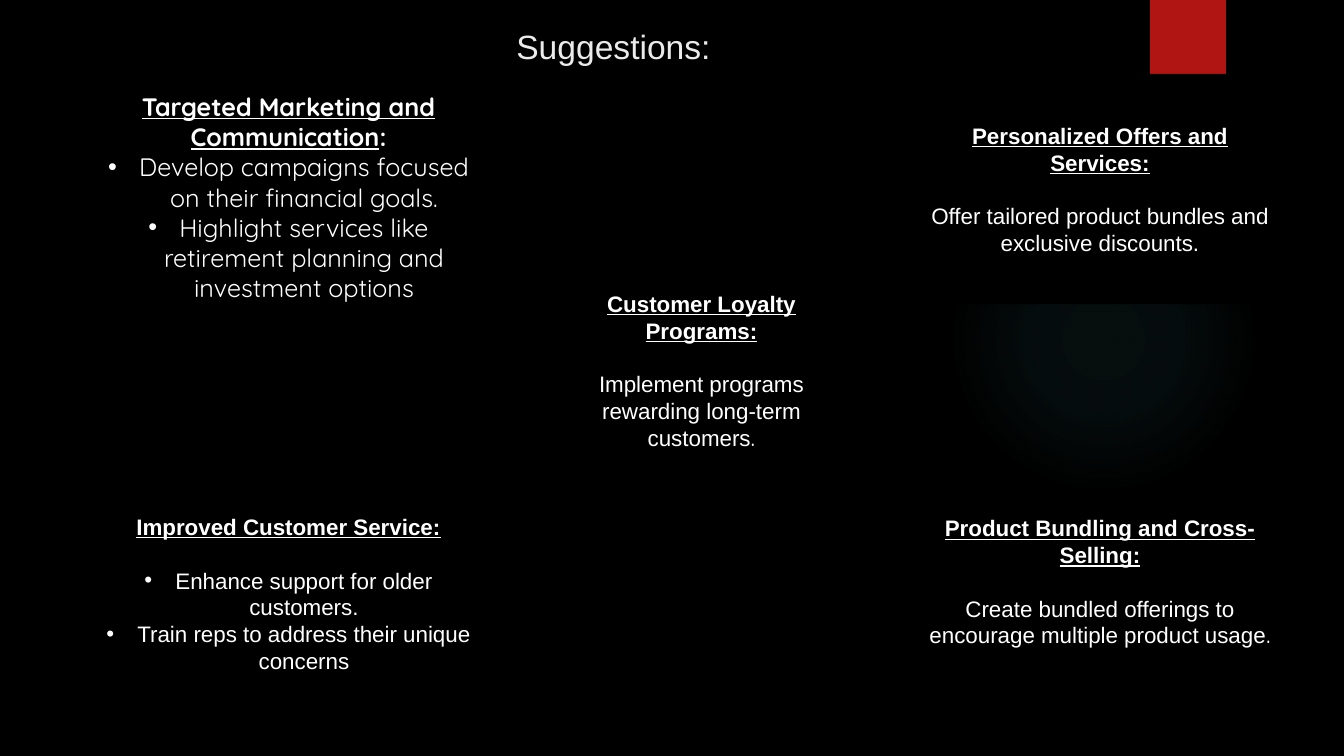
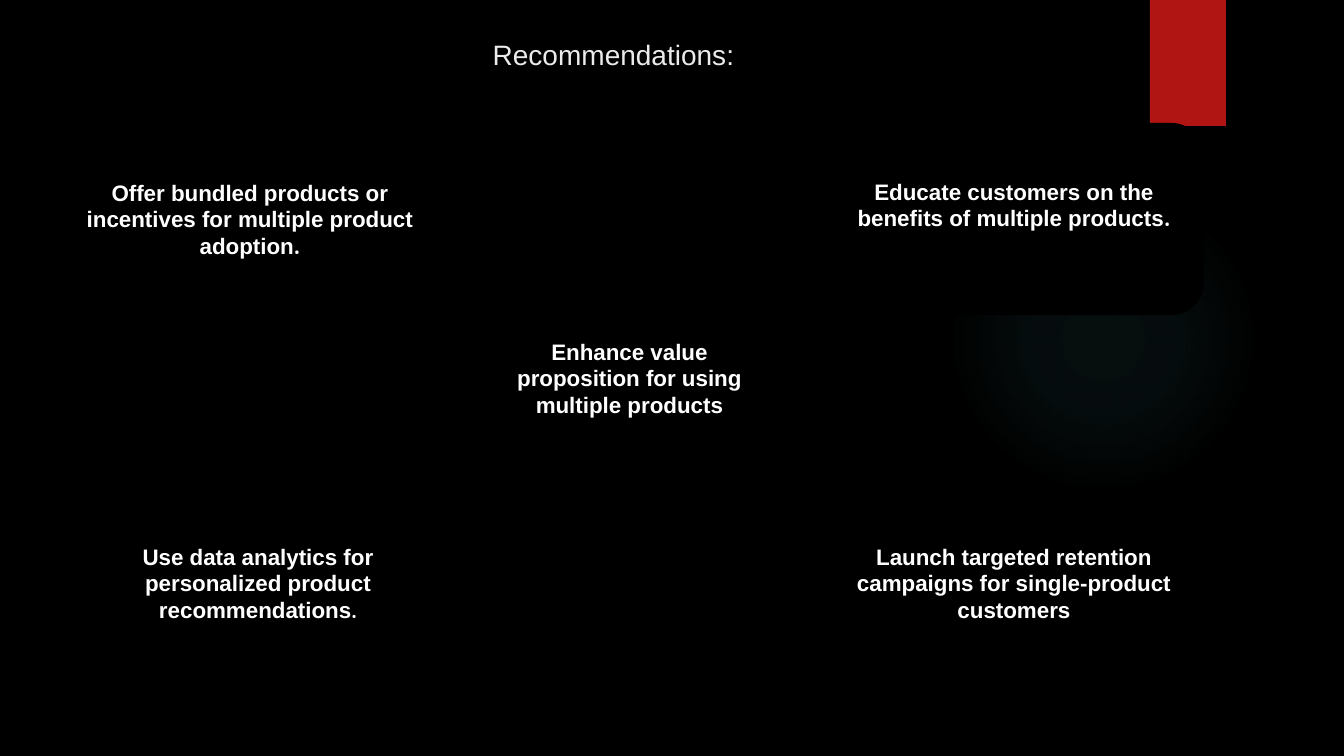
from dataclasses import dataclass

from lxml import etree
from pptx import Presentation
from pptx.dml.color import RGBColor
from pptx.enum.shapes import MSO_SHAPE
from pptx.enum.text import MSO_ANCHOR, MSO_AUTO_SIZE, PP_ALIGN
from pptx.oxml import parse_xml
from pptx.oxml.ns import nsdecls, qn
from pptx.util import Emu, Pt

RECTANGLE = MSO_SHAPE.RECTANGLE
ROUNDED = MSO_SHAPE.ROUNDED_RECTANGLE
OVAL = MSO_SHAPE.OVAL
CENTER = PP_ALIGN.CENTER
TOP = MSO_ANCHOR.TOP
MIDDLE = MSO_ANCHOR.MIDDLE
NO_AUTOFIT = MSO_AUTO_SIZE.NONE

EMU_PER_PX = 914400 / 100.8
TITLE_ONLY = 5
COLORS = {
    "black": "000000",
    "white": "FFFFFF",
    "title": "EBEBEB",
    "red": "B01513",
    "glow": "50B9C1",
}
BODY_FONT = "Arial"
ACCENT_FONT = "Quicksand"
LINE_HEIGHT = 1.2
BULLET_INDENT = 31
TEXT_MARGIN = 5
LOWER_SPACE = 28


@dataclass
class Run:
    text: str
    size: int = 16
    font: str = BODY_FONT
    bold: bool = False
    underline: bool = False


@dataclass
class Line:
    runs: list
    bullet: bool = False
    gap: bool = False


def px(length):
    return Emu(round(length * EMU_PER_PX))


def color(name):
    return RGBColor.from_string(COLORS[name])


def heading(text, **style):
    return Line([Run(text, bold=True, underline=True, **style)])


def full_stop(size=18, bold=False):
    return Run(".", size, ACCENT_FONT, bold)


class Deck:
    """Holds the shared style and the slide being filled."""

    def __init__(self, width, height):
        self.presentation = Presentation()
        self.presentation.slide_width = px(width)
        self.presentation.slide_height = px(height)
        background = self.presentation.slide_master.background.fill
        background.solid()
        background.fore_color.rgb = color("black")
        self.layout = self.presentation.slide_layouts[TITLE_ONLY]
        self.slide = None

    def add_slide(self, title, box, size):
        first = self.slide is None
        self.slide = self.presentation.slides.add_slide(self.layout)
        if first:
            self.decorate_layout()
        shape = self.slide.shapes.title
        shape.left, shape.top, shape.width, shape.height = map(px, box)
        frame = shape.text_frame
        frame.text = title
        frame.auto_size = NO_AUTOFIT
        frame.vertical_anchor = TOP
        paragraph = frame.paragraphs[0]
        paragraph.alignment = CENTER
        paragraph.line_spacing = Pt(size * LINE_HEIGHT)
        font = paragraph.runs[0].font
        font.name, font.size = BODY_FONT, Pt(size)
        font.color.rgb = color("title")

    def shape(self, kind, box, fill=None):
        shape = self.slide.shapes.add_shape(kind, *map(px, box))
        if fill:
            shape.fill.solid()
            shape.fill.fore_color.rgb = color(fill)
        else:
            shape.fill.background()
        shape.line.fill.background()
        shape.shadow.inherit = False
        return shape

    def decorate_layout(self):
        """Draw the glow and the red tab, then move them to the layout."""
        glow = self.shape(OVAL, (948, 184, 310, 310))
        self.fade(glow, ((0, 7), (36, 6), (69, 0)))
        tab = self.shape(RECTANGLE, (1150, 0, 76, 126), "red")
        self.drop_shadow(tab)
        for number, shape in enumerate((glow, tab), 101):
            shape.element.nvSpPr.cNvPr.set("id", str(number))
            self.layout.shapes.element.append(shape.element)

    def fade(self, shape, stops):
        """Fill with a radial gradient of (position, opacity) percentages."""
        stop_xml = "".join(
            f'<a:gs pos="{position * 1000}"><a:srgbClr val="{COLORS["glow"]}">'
            f'<a:alpha val="{opacity * 1000}"/></a:srgbClr></a:gs>'
            for position, opacity in stops
        )
        gradient = parse_xml(
            f'<a:gradFill {nsdecls("a")}><a:gsLst>{stop_xml}</a:gsLst>'
            '<a:path path="circle"><a:fillToRect l="50000" t="50000" '
            'r="50000" b="50000"/></a:path></a:gradFill>'
        )
        properties = shape.element.spPr
        properties.replace(properties.find(qn("a:noFill")), gradient)

    def drop_shadow(self, shape):
        effects = shape.element.spPr.find(qn("a:effectLst"))
        effects.append(parse_xml(
            f'<a:outerShdw {nsdecls("a")} blurRad="{Pt(3)}" dist="{Pt(2)}" '
            f'dir="5400000"><a:srgbClr val="{COLORS["black"]}">'
            '<a:alpha val="45000"/></a:srgbClr></a:outerShdw>'
        ))

    def card(self, box, lines, raised=False):
        """Add a rounded card; raised text sits above the middle."""
        shape = self.shape(ROUNDED, box, "black")
        shape.line.color.rgb = color("black")
        shape.line.width = Pt(1.5)
        frame = shape.text_frame
        frame.word_wrap = True
        frame.vertical_anchor = MIDDLE
        frame.margin_top = px(TEXT_MARGIN)
        frame.margin_bottom = px(TEXT_MARGIN + LOWER_SPACE * raised)
        for index, line in enumerate(lines):
            paragraph = frame.add_paragraph() if index else frame.paragraphs[0]
            self.write_line(paragraph, line)

    def write_line(self, paragraph, line):
        paragraph.alignment = CENTER
        spacing = Pt(line.runs[0].size * LINE_HEIGHT)
        paragraph.line_spacing = spacing
        if line.gap:
            paragraph.space_before = spacing
        if line.bullet:
            self.add_bullet(paragraph)
        for part in line.runs:
            run = paragraph.add_run()
            run.text = part.text
            font = run.font
            font.name, font.size = part.font, Pt(part.size)
            font.bold, font.underline = part.bold, part.underline
            font.color.rgb = color("white")

    def add_bullet(self, paragraph):
        properties = paragraph._p.get_or_add_pPr()
        indent = px(BULLET_INDENT)
        properties.set("marL", str(indent))
        properties.set("indent", str(-indent))
        etree.SubElement(properties, qn("a:buFont"), typeface=BODY_FONT)
        etree.SubElement(properties, qn("a:buChar"), char="•")


def add_suggestions(deck):
    deck.add_slide("Suggestions:", (127, 21, 973, 54), 24)
    left, right = 73, 902
    left_width, right_width = 431, 396
    accent = {"size": 18, "font": ACCENT_FONT}

    marketing = heading("Targeted Marketing and Communication", **accent)
    marketing.runs.append(Run(":", bold=True, **accent))
    goals = [
        "Develop campaigns focused on their financial goals.",
        "Highlight services like retirement planning and investment options",
    ]
    deck.card((left, 75, left_width, 244),
              [marketing] + [Line([Run(goal, **accent)], bullet=True) for goal in goals])

    deck.card((right, 75, right_width, 228), [
        heading("Personalized Offers and Services:"),
        Line([Run("Offer tailored product bundles and exclusive discounts.")], gap=True),
    ])
    deck.card((530, 281, 343, 207), [
        heading("Customer Loyalty Programs:"),
        Line([Run("Implement programs rewarding long-term customers"), full_stop()],
             gap=True),
    ], raised=True)
    deck.card((left, 488, left_width, 211), [
        heading("Improved Customer Service:"),
        Line([Run("Enhance support for older customers.")], bullet=True, gap=True),
        Line([Run("Train reps to address their unique concerns")], bullet=True),
    ])
    deck.card((right, 492, right_width, 207), [
        heading("Product Bundling and Cross-Selling:"),
        Line([Run("Create bundled offerings to encourage multiple product usage"),
              full_stop()], gap=True),
    ], raised=True)


def add_recommendations(deck):
    deck.add_slide("Recommendations:", (127, 32, 973, 92), 20)
    height = 190
    upper, middle, lower = 124, 283, 488
    right, width = 825, 378
    large_stop, small_stop = full_stop(bold=True), full_stop(16, True)
    cards = [
        (54, upper, 392, "Offer bundled products or incentives for multiple product adoption",
         [large_stop], False),
        (right, upper, width, "Educate customers on the benefits of multiple products",
         [large_stop], True),
        (474, middle, 311, "Enhance value proposition for using multiple products",
         [], False),
        (69, lower, width, "Use data analytics for personalized product recommendations",
         [small_stop], False),
        (right, lower, width, "Launch targeted retention campaigns for single-product customers",
         [], False),
    ]
    for left, top, card_width, text, ending, raised in cards:
        deck.card((left, top, card_width, height),
                  [Line([Run(text, bold=True)] + ending)], raised)


def main():
    deck = Deck(1344, 756)
    add_suggestions(deck)
    add_recommendations(deck)
    deck.presentation.save("out.pptx")


if __name__ == "__main__":
    main()
